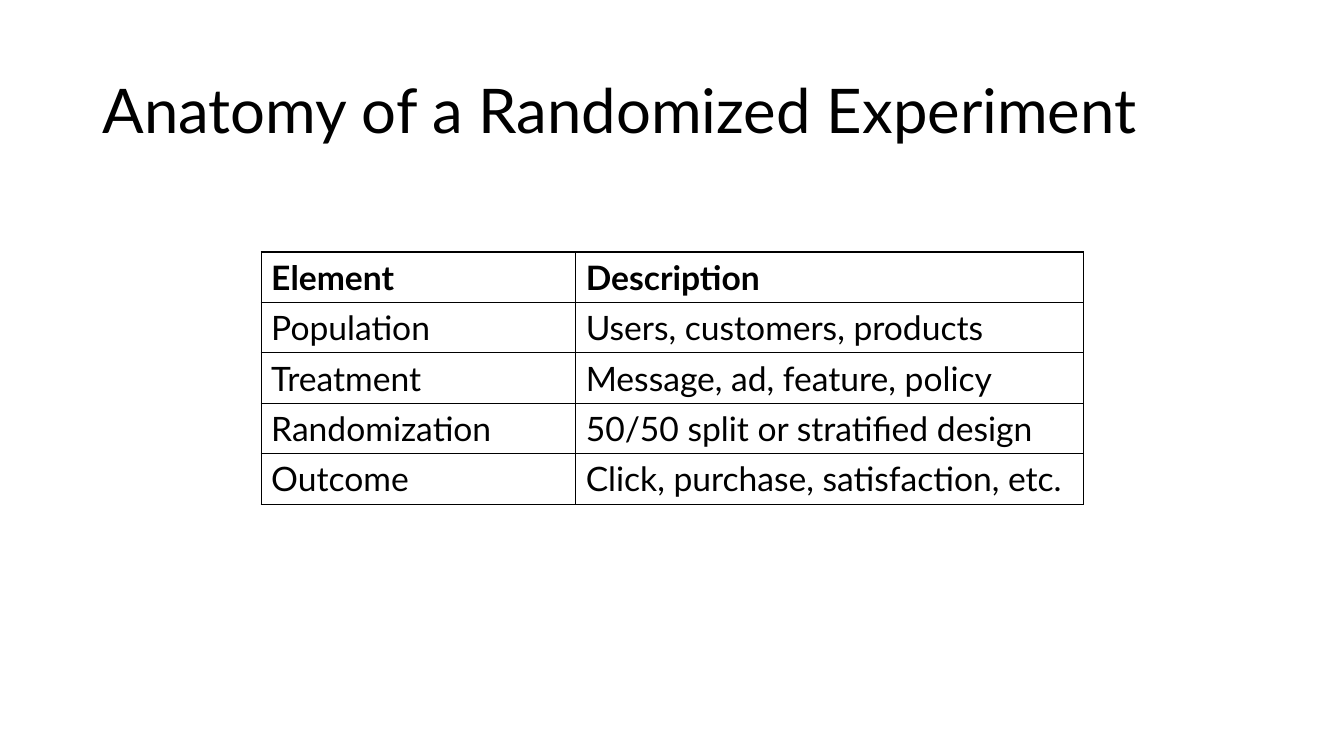
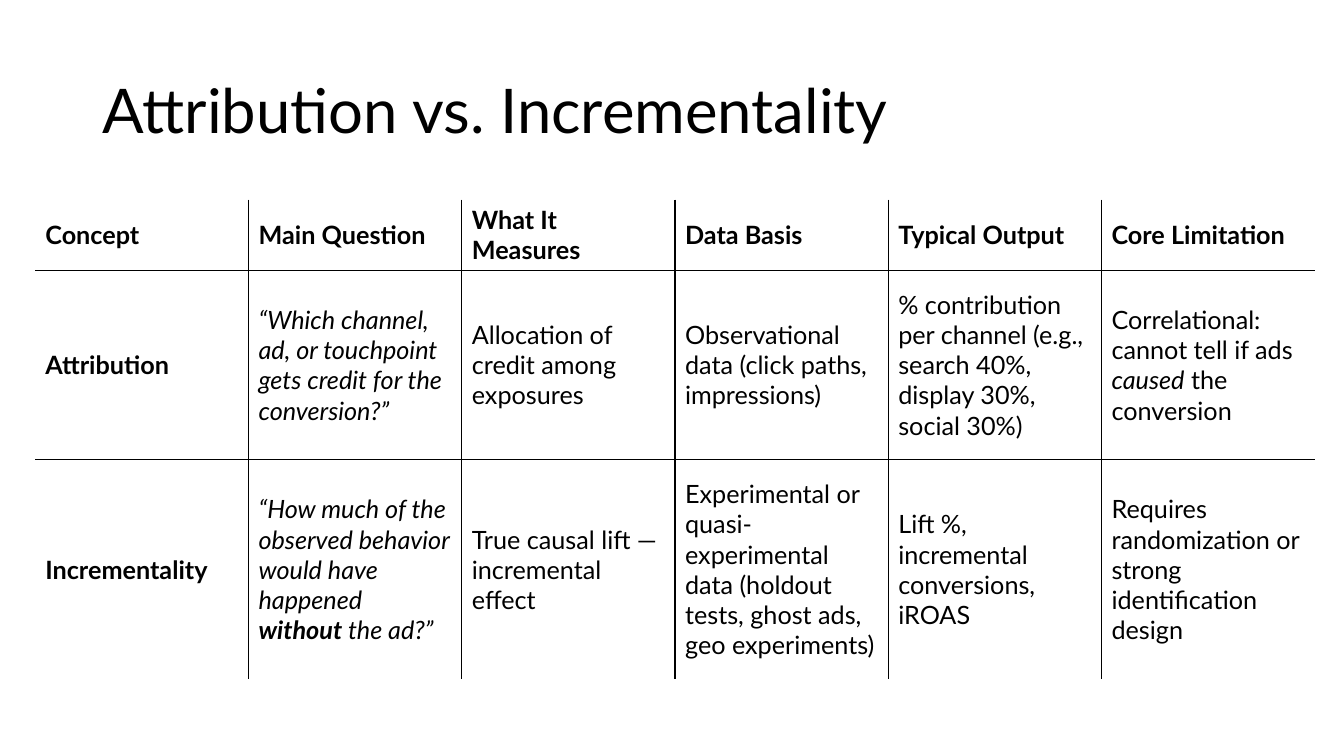
from dataclasses import dataclass

from lxml import etree
from pptx import Presentation
from pptx.dml.color import RGBColor
from pptx.enum.text import MSO_ANCHOR
from pptx.oxml.ns import qn
from pptx.slide import Slide
from pptx.table import _Cell
from pptx.text.text import _Paragraph
from pptx.util import Inches, Pt

MIDDLE = MSO_ANCHOR.MIDDLE
BLANK_LAYOUT = 6


@dataclass(frozen=True)
class Theme:
    font: str = "Lato"
    ink: str = "000000"
    title_size: float = 44
    title_spacing: float = 0.9
    border_width: float = 1


@dataclass(frozen=True)
class Span:
    text: str
    bold: bool = False
    italic: bool = False


CellText = str | Span | list[Span]


@dataclass(frozen=True)
class Grid:
    left: float
    top: float
    columns: list[float]
    row_heights: list[float]
    text_size: float
    framed: bool
    rows: list[list[CellText]]


@dataclass(frozen=True)
class Page:
    title: str
    grid: Grid


THEME = Theme()


def heading(text: str) -> Span:
    return Span(text, bold=True)


def quote(text: str) -> Span:
    return Span(text, italic=True)


EXPERIMENT = Page(
    "Anatomy of a Randomized Experiment",
    Grid(
        left=2.59,
        top=2.5,
        columns=[3.12, 5.04],
        row_heights=[0.5] * 5,
        text_size=24,
        framed=True,
        rows=[
            [heading("Element"), heading("Description")],
            ["Population", "Users, customers, products"],
            ["Treatment", "Message, ad, feature, policy"],
            ["Randomization", "50/50 split or stratified design"],
            ["Outcome", "Click, purchase, satisfaction, etc."],
        ],
    ),
)

COMPARISON = Page(
    "Attribution vs. Incrementality",
    Grid(
        left=0.35,
        top=1.98,
        columns=[12.69 / 6] * 6,
        row_heights=[0.7, 1.88, 2.18],
        text_size=18,
        framed=False,
        rows=[
            [
                heading("Concept"),
                heading("Main Question"),
                heading("What It Measures"),
                heading("Data Basis"),
                heading("Typical Output"),
                heading("Core Limitation"),
            ],
            [
                heading("Attribution"),
                quote("“Which channel, ad, or touchpoint gets credit for the conversion?”"),
                "Allocation of credit among exposures",
                "Observational data (click paths, impressions)",
                "% contribution per channel (e.g., search 40%, display 30%, social 30%)",
                [
                    Span("Correlational: cannot tell if ads "),
                    quote("caused"),
                    Span(" the conversion"),
                ],
            ],
            [
                heading("Incrementality"),
                [
                    quote("“How much of the observed behavior would have happened "),
                    Span("without", bold=True, italic=True),
                    quote(" the ad?”"),
                ],
                "True causal lift — incremental effect",
                "Experimental or quasi-experimental data (holdout tests, ghost ads, geo experiments)",
                "Lift %, incremental conversions, iROAS",
                "Requires randomization or strong identification design",
            ],
        ],
    ),
)


def write(paragraph: _Paragraph, content: CellText, size: float) -> None:
    spans = content if isinstance(content, list) else [content]
    for item in spans:
        span = item if isinstance(item, Span) else Span(item)
        run = paragraph.add_run()
        run.text = span.text
        formats = {
            "name": THEME.font,
            "size": Pt(size),
            "bold": span.bold,
            "italic": span.italic,
        }
        for attribute, value in formats.items():
            setattr(run.font, attribute, value)
        run.font.color.rgb = RGBColor.from_string(THEME.ink)


def add_title(slide: Slide, text: str) -> None:
    title = slide.shapes.add_textbox(Inches(0.92), Inches(0.4), Inches(11.5), Inches(1.45))
    frame = title.text_frame
    frame.word_wrap = True
    frame.vertical_anchor = MIDDLE
    frame.paragraphs[0].line_spacing = THEME.title_spacing
    write(frame.paragraphs[0], text, THEME.title_size)


def set_borders(cell: _Cell, edges: dict[str, bool]) -> None:
    properties = cell._tc.get_or_add_tcPr()
    for edge, visible in edges.items():
        line = etree.SubElement(properties, qn(f"a:{edge}"), w=str(Pt(THEME.border_width)))
        if visible:
            fill = etree.SubElement(line, qn("a:solidFill"))
            etree.SubElement(fill, qn("a:srgbClr"), val=THEME.ink)
        else:
            etree.SubElement(line, qn("a:noFill"))


def add_grid(slide: Slide, grid: Grid) -> None:
    last_row, last_column = len(grid.row_heights) - 1, len(grid.columns) - 1
    table = slide.shapes.add_table(
        last_row + 1,
        last_column + 1,
        Inches(grid.left),
        Inches(grid.top),
        Inches(sum(grid.columns)),
        Inches(sum(grid.row_heights)),
    ).table
    table.first_row = False
    table.horz_banding = False
    for column, width in zip(table.columns, grid.columns):
        column.width = Inches(width)
    for r, (height, contents) in enumerate(zip(grid.row_heights, grid.rows)):
        table.rows[r].height = Inches(height)
        for c, content in enumerate(contents):
            cell = table.cell(r, c)
            edges = {
                "lnL": grid.framed or c > 0,
                "lnR": grid.framed or c < last_column,
                "lnT": grid.framed or r > 0,
                "lnB": grid.framed or r < last_row,
            }
            set_borders(cell, edges)
            cell.fill.background()
            cell.vertical_anchor = MIDDLE
            write(cell.text_frame.paragraphs[0], content, grid.text_size)


def main() -> None:
    deck = Presentation()
    deck.slide_width, deck.slide_height = Inches(13.33), Inches(7.5)
    for page in (EXPERIMENT, COMPARISON):
        slide = deck.slides.add_slide(deck.slide_layouts[BLANK_LAYOUT])
        add_title(slide, page.title)
        add_grid(slide, page.grid)
    deck.save("out.pptx")


if __name__ == "__main__":
    main()
